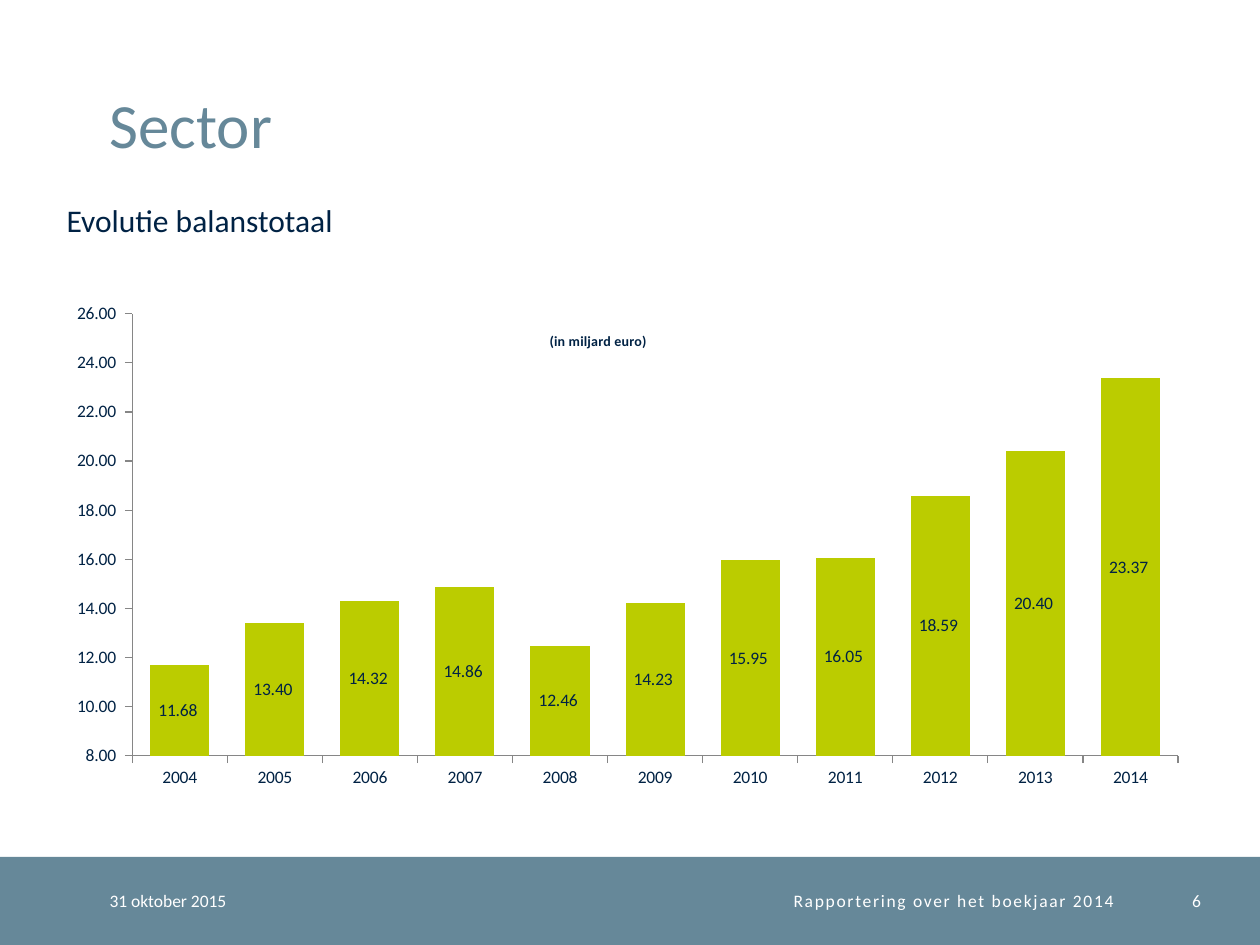
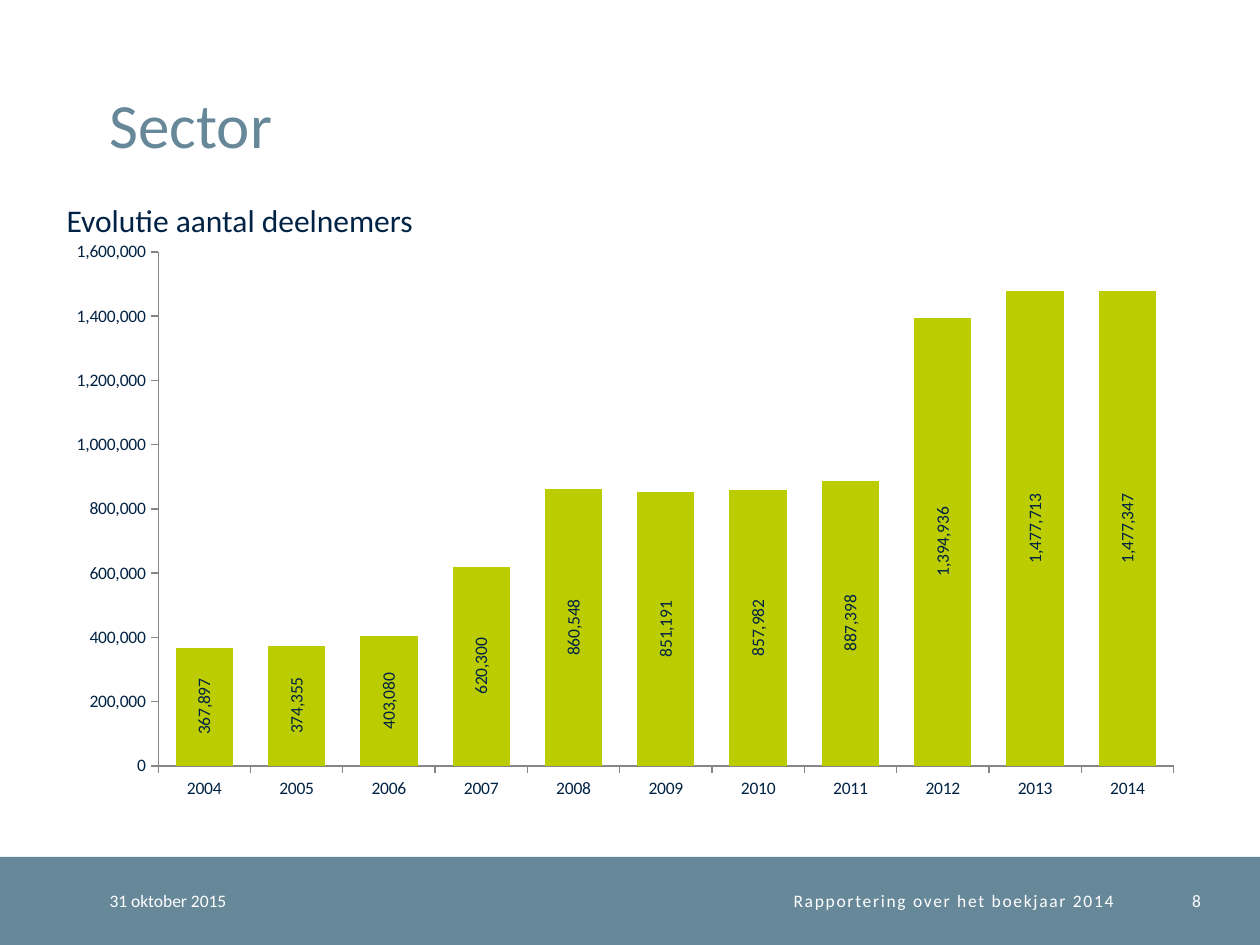
from dataclasses import dataclass
from typing import Optional

from lxml.etree import SubElement
from pptx import Presentation
from pptx.chart.data import CategoryChartData
from pptx.dml.color import RGBColor
from pptx.enum.chart import XL_CHART_TYPE, XL_LABEL_POSITION, XL_TICK_MARK
from pptx.enum.shapes import MSO_SHAPE
from pptx.enum.text import MSO_ANCHOR, MSO_AUTO_SIZE, PP_ALIGN
from pptx.oxml.ns import qn
from pptx.util import Inches, Pt

# Shared style: a grid of 100 columns by 75 rows covers the slide
COLORS = {"band": "668899", "ink": "002244", "bar": "BBCC00",
          "axis": "868686", "paper": "FFFFFF"}
FONT = "Calibri"
WIDTH, HEIGHT = Inches(10), Inches(7.5)
COLUMN, ROW = WIDTH / 100, HEIGHT / 75
YEARS = [str(year) for year in range(2004, 2015)]


@dataclass(frozen=True)
class Area:
    left: float
    top: float
    width: float
    height: float

    def emu(self) -> tuple[int, int, int, int]:
        return (round(self.left * COLUMN), round(self.top * ROW),
                round(self.width * COLUMN), round(self.height * ROW))


@dataclass(frozen=True)
class TextStyle:
    size: float
    color: str
    anchor: MSO_ANCHOR = MSO_ANCHOR.MIDDLE
    align: PP_ALIGN = PP_ALIGN.LEFT
    line_height: Optional[float] = None
    tracking: float = 0
    fitted: bool = False


@dataclass(frozen=True)
class SectorSlide:
    number: int
    subtitle: str
    subtitle_area: Area
    chart_area: Area
    plot_area: Area
    values: tuple[float, ...]
    axis_range: tuple[float, float, float]  # minimum, maximum, step
    number_format: str
    unit: Optional[str] = None
    label_rotation: int = 0


BAND = Area(0, 68, 100, 7)
TITLE = TextStyle(36, "band", MSO_ANCHOR.BOTTOM, line_height=32)
SUBTITLE = TextStyle(18, "ink", MSO_ANCHOR.TOP, fitted=True)
FOOTER_LEFT = TextStyle(10, "paper")
FOOTER_RIGHT = TextStyle(10, "paper", align=PP_ALIGN.RIGHT)
FOOTER_SPACED = TextStyle(10, "paper", align=PP_ALIGN.RIGHT, tracking=1)

SLIDES = [
    SectorSlide(
        6, "Evolutie balanstotaal", Area(4.3, 15.5, 32.3, 4),
        Area(4.3, 19.5, 91, 44), Area(10.5, 24.9, 83, 35.1),
        (11.68, 13.40, 14.32, 14.86, 12.46, 14.23, 15.95, 16.05, 18.59, 20.40, 23.37),
        (8, 26, 2), r"#,##0.00_ ;[Red]\-#,##0.00\ ", unit="(in miljard euro)"),
    SectorSlide(
        8, "Evolutie aantal deelnemers", Area(4.3, 15.5, 89.8, 5.7),
        Area(4.3, 18.3, 90.7, 45.9), Area(12.55, 20, 80.6, 40.8),
        (367897, 374355, 403080, 620300, 860548, 851191, 857982, 887398,
         1394936, 1477713, 1477347),
        (0, 1600000, 200000), "#,##0", label_rotation=-90),
]


def rgb(name: str) -> RGBColor:
    return RGBColor.from_string(COLORS[name])


def set_font(font, size: float, color: str, bold: bool = False) -> None:
    font.name, font.size, font.bold = FONT, Pt(size), bold
    font.color.rgb = rgb(color)


def add_text(slide, text: str, area: Area, style: TextStyle) -> None:
    frame = slide.shapes.add_textbox(*area.emu()).text_frame
    frame.word_wrap = True
    frame.vertical_anchor = style.anchor
    if style.fitted:
        frame.auto_size = MSO_AUTO_SIZE.SHAPE_TO_FIT_TEXT
    else:
        frame.margin_left = frame.margin_right = 0
        frame.margin_top = frame.margin_bottom = 0
    paragraph = frame.paragraphs[0]
    run = paragraph.add_run()
    run.text = text
    paragraph.alignment = style.align
    if style.line_height:
        paragraph.line_spacing = Pt(style.line_height)
    set_font(paragraph.font, style.size, style.color)
    if style.tracking:
        run.font.language_id = None
        run.font._element.set("spc", str(round(style.tracking * 100)))


def add_frame(slide, number: int) -> None:
    """Band, title and footer of every slide."""
    band = slide.shapes.add_shape(MSO_SHAPE.RECTANGLE, *BAND.emu())
    band.shadow.inherit = False
    band.fill.solid()
    band.fill.fore_color.rgb = rgb("band")
    band.line.fill.background()
    add_text(slide, "Sector", Area(8.7, 2, 86.3, 10.8), TITLE)
    for text, left, width, style in (
            ("31 oktober 2015", 8.7, 17.7, FOOTER_LEFT),
            ("Rapportering over het boekjaar 2014", 26.4, 62, FOOTER_SPACED),
            (str(number), 90.4, 4.9, FOOTER_RIGHT)):
        add_text(slide, text, Area(left, BAND.top, width, BAND.height), style)


def place(element, **settings) -> None:
    """Give a chart part a manual layout."""
    layout = element.find(qn("c:layout"))
    if layout is None:
        layout = element.makeelement(qn("c:layout"), {})
        element.insert(0, layout)
    manual = SubElement(layout, qn("c:manualLayout"))
    for tag, value in settings.items():
        SubElement(manual, qn(f"c:{tag}")).set("val", str(value))


def add_chart(slide, content: SectorSlide) -> None:
    data = CategoryChartData(number_format=content.number_format)
    data.categories = YEARS
    data.add_series("Series 1", content.values)
    outer, inner = content.chart_area, content.plot_area
    chart = slide.shapes.add_chart(
        XL_CHART_TYPE.COLUMN_STACKED, *outer.emu(), data).chart
    chart.has_legend = False
    set_font(chart.font, 10, "ink")
    place(chart._chartSpace.chart.plotArea,
          layoutTarget="inner", xMode="edge", yMode="edge",
          x=round((inner.left - outer.left) / outer.width, 4),
          y=round((inner.top - outer.top) / outer.height, 4),
          w=round(inner.width / outer.width, 4),
          h=round(inner.height / outer.height, 4))

    # Unit, laid over the plot
    chart.has_title = content.unit is not None
    if content.unit:
        unit = chart.chart_title
        unit.text_frame.text = content.unit
        set_font(unit.text_frame.paragraphs[0].font, 8, "ink", bold=True)
        unit.include_in_layout = False
        place(unit._element, xMode="edge", yMode="edge", x=0.43, y=0.15)
        unit._element.find(qn("c:overlay")).set("val", "1")

    # Axes
    value_axis = chart.value_axis
    value_axis.minimum_scale, value_axis.maximum_scale, value_axis.major_unit = content.axis_range
    value_axis.has_major_gridlines = False
    value_axis.tick_labels.number_format = content.number_format
    value_axis.tick_labels.number_format_is_linked = False
    for axis in (chart.category_axis, value_axis):
        axis.major_tick_mark = XL_TICK_MARK.OUTSIDE
        axis.minor_tick_mark = XL_TICK_MARK.NONE
        axis.format.line.color.rgb = rgb("axis")
        axis.format.line.width = Pt(0.75)

    # Columns and their values
    plot = chart.plots[0]
    plot.gap_width, plot.overlap, plot.vary_by_categories = 61, 100, False
    columns = plot.series[0]
    columns.format.fill.solid()
    columns.format.fill.fore_color.rgb = rgb("bar")
    labels = columns.data_labels
    labels.show_value = True
    labels.position = XL_LABEL_POSITION.CENTER
    labels.number_format = content.number_format
    labels.number_format_is_linked = False
    set_font(labels.font, 10, "ink")
    if content.label_rotation:
        body = labels._element.find(f"{qn('c:txPr')}/{qn('a:bodyPr')}")
        body.set("rot", str(content.label_rotation * 60000))
        body.set("vert", "horz")


def main() -> None:
    deck = Presentation()
    deck.slide_width, deck.slide_height = WIDTH, HEIGHT
    for content in SLIDES:
        slide = deck.slides.add_slide(deck.slide_layouts[6])
        add_frame(slide, content.number)
        add_text(slide, content.subtitle, content.subtitle_area, SUBTITLE)
        add_chart(slide, content)
    deck.save("out.pptx")


if __name__ == "__main__":
    main()
